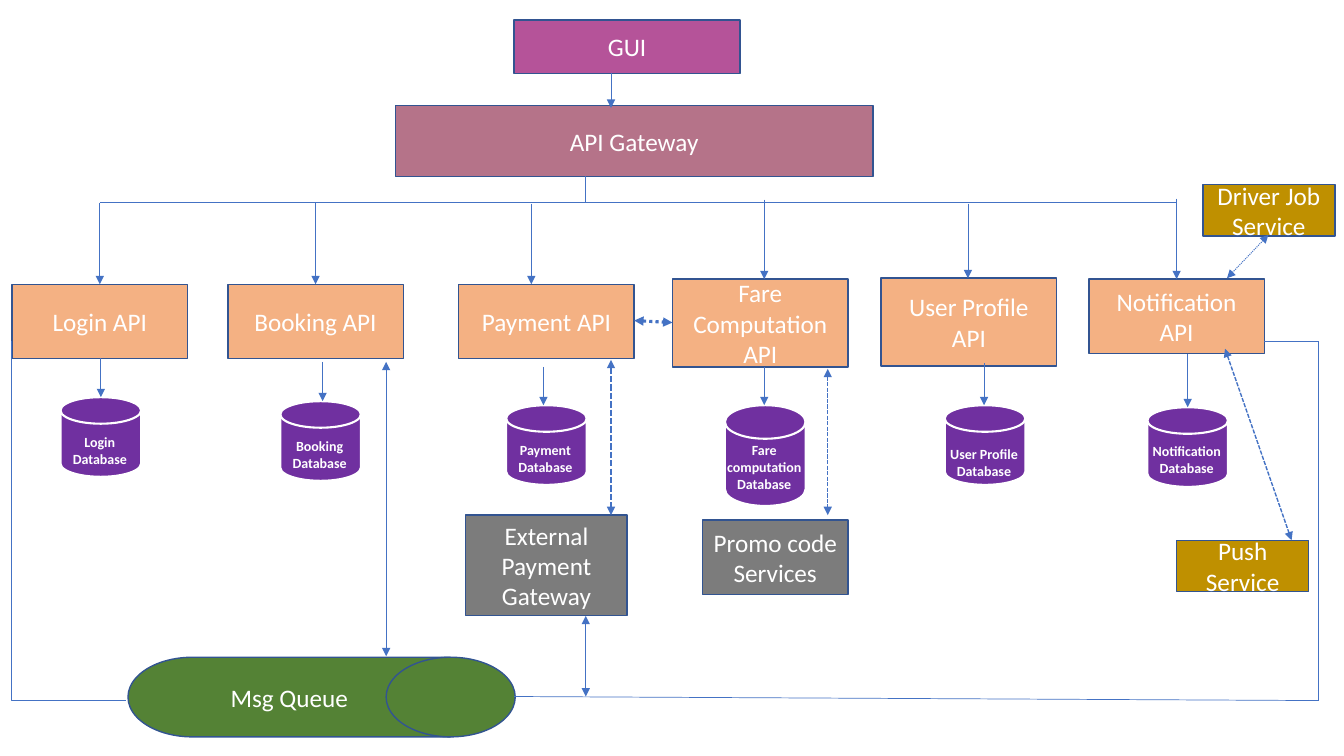
"""Build a one-slide diagram of services behind an API gateway."""
from lxml import etree
from pptx import Presentation
from pptx import util as u
from pptx.dml.color import RGBColor
from pptx.enum import dml, shapes, text
from pptx.oxml.ns import qn

WHITE = RGBColor(0xFF, 0xFF, 0xFF)
MAGENTA = RGBColor(0xB5, 0x53, 0x99)
ROSE = RGBColor(0xB5, 0x73, 0x89)
PEACH = RGBColor(0xF4, 0xB1, 0x83)
GOLD = RGBColor(0xBF, 0x90, 0x00)
GRAY = RGBColor(0x7C, 0x7C, 0x7C)
GREEN = RGBColor(0x54, 0x82, 0x35)
PURPLE = RGBColor(0x70, 0x30, 0xA0)
NAVY = RGBColor(0x32, 0x54, 0x91)
BLUE = RGBColor(0x44, 0x72, 0xC4)

RECT = shapes.MSO_SHAPE.RECTANGLE
DISK = shapes.MSO_SHAPE.FLOWCHART_MAGNETIC_DISK
DRUM = shapes.MSO_SHAPE.FLOWCHART_DIRECT_ACCESS_STORAGE
DASH = dml.MSO_LINE.SQUARE_DOT
DOT = dml.MSO_LINE.ROUND_DOT

API_WIDTH, DISK_WIDTH, LABEL_WIDTH = 1.74, 0.8, 1
BUS_Y, BUS_LEFT, BUS_RIGHT, TRUNK_X = 2.01, 0.99, 11.67, 5.81
QUEUE_Y, RETURN_X = 6.95, 13.08

# fields: API name, (left, top, height), drop (x, y), database label,
# disk (left, top, height), label top, feed (x, y)
SERVICES = [
    ("Login API", (0.12, 2.82, 0.74), (0.99, 2.01),
     "Login Database", (0.6, 3.94, 0.79), 4.25, (1, 3.55)),
    ("Booking API", (2.26, 2.82, 0.74), (3.13, 2.01),
     "Booking Database", (2.78, 3.98, 0.79), 4.29, (3.2, 3.59)),
    ("Payment API", (4.55, 2.82, 0.74), (5.27, 2.02),
     "Payment Database", (5.02, 4.02, 0.79), 4.33, (5.39, 3.64)),
    ("Fare Computation API", (6.67, 2.77, 0.87), (7.58, 1.98),
     "Fare computation Database", (7.19, 4.02, 1), 4.33, (7.58, 3.64)),
    ("User Profile API", (8.74, 2.76, 0.87), (9.6, 2.02),
     "User Profile Database", (9.37, 4.02, 0.79), 4.37, (9.76, 3.6)),
    ("Notification API", (10.8, 2.77, 0.74), (11.67, 1.97),
     "Notification Database", (11.38, 4.04, 0.79), 4.34, (11.78, 3.51)),
]
BOXES = [
    ("GUI", (5.1, 0.2, 2.24, 0.53), MAGENTA, RECT),
    ("API Gateway", (3.92, 1.05, 4.74, 0.7), ROSE, RECT),
    ("Driver Job Service", (11.93, 1.83, 1.31, 0.51), GOLD, RECT),
    ("Push Service", (11.67, 5.36, 1.31, 0.51), GOLD, RECT),
    ("External Payment Gateway", (4.62, 5.11, 1.6, 1), GRAY, RECT),
    ("Promo code Services", (6.97, 5.16, 1.44, 0.74), GRAY, RECT),
    ("Msg Queue", (1.27, 6.52, 3.84, 0.79), GREEN, DRUM),
]
PLAIN_LINES = [
    ((TRUNK_X, 1.75), (TRUNK_X, BUS_Y)),
    ((TRUNK_X, BUS_Y), (BUS_RIGHT, BUS_Y)),
    ((TRUNK_X, BUS_Y), (BUS_LEFT, BUS_Y)),
    ((12.54, 3.39), (RETURN_X, 3.39)),
    ((RETURN_X, 3.39), (RETURN_X, QUEUE_Y)),
    ((5.1, 6.91), (RETURN_X, QUEUE_Y)),
]
TWO_WAY_ARROWS = [
    ((TRUNK_X, 6.11), (TRUNK_X, 6.91), 0.5, None),
    ((3.83, 3.59), (3.83, 6.51), 0.5, None),
    ((8.21, 3.66), (8.21, 5.11), 1, DASH),
    ((6.29, 3.18), (6.67, 3.2), 2.25, DOT),
    ((12.15, 3.46), (12.81, 5.36), 1, DASH),
    ((12.17, 2.76), (12.58, 2.33), 0.75, DOT),
    ((6.06, 3.57), (6.06, 5.11), 1.5, DASH),
]

deck = Presentation()
deck.slide_width, deck.slide_height = u.Inches(13.33), u.Inches(7.5)
page = deck.slides.add_slide(deck.slide_layouts[6])


def write(box, words, size, bold=False):
    frame = box.text_frame
    frame.word_wrap = True
    para = frame.paragraphs[0]
    para.alignment = text.PP_ALIGN.CENTER
    span = para.add_run()
    span.text = words
    span.font.name, span.font.size, span.font.bold = "Calibri", u.Pt(size), bold
    span.font.color.rgb = WHITE


def add_box(place, fill, kind=RECT, outline=NAVY, weight=1):
    box = page.shapes.add_shape(kind, *map(u.Inches, place))
    box.shadow.inherit = False
    box.fill.solid()
    box.fill.fore_color.rgb = fill
    box.line.color.rgb = outline
    box.line.width = u.Pt(weight)
    box.text_frame.vertical_anchor = text.MSO_ANCHOR.MIDDLE
    return box


def add_line(start, end, weight=0.5, dash=None, ends=(),
             kind=shapes.MSO_CONNECTOR.STRAIGHT):
    line = page.shapes.add_connector(kind, *map(u.Inches, start + end))
    line.line.color.rgb = BLUE
    line.line.width = u.Pt(weight)
    if dash:
        line.line.dash_style = dash
    outline = line.line._get_or_add_ln()
    for end_name in ends:
        etree.SubElement(outline, qn("a:" + end_name), type="triangle")
    etree.SubElement(line._element.spPr, qn("a:effectLst"))
    return line


def add_corner(start, end):
    (left, top), (right, bottom) = start, end
    mid_x, mid_y = (left + right) / 2, (top + bottom) / 2
    half_long, half_short = (bottom - top) / 2, (right - left) / 2
    line = add_line((mid_x + half_long, mid_y - half_short),
                    (mid_x - half_long, mid_y + half_short),
                    kind=shapes.MSO_CONNECTOR.ELBOW)
    properties = line._element.spPr
    properties.find(qn("a:prstGeom")).set("prst", "bentConnector2")
    properties.find(qn("a:xfrm")).set("rot", str(270 * 60000))


for words, place, fill, kind in BOXES:
    write(add_box(place, fill, kind), words, 18)

for name, api, drop, label, disk, label_top, feed in SERVICES:
    left, top, height = api
    write(add_box((left, top, API_WIDTH, height), PEACH), name, 18)
    disk_left, disk_top, disk_height = disk
    add_box((disk_left, disk_top, DISK_WIDTH, disk_height), PURPLE, DISK, WHITE, 1.5)
    label_left = disk_left - (LABEL_WIDTH - DISK_WIDTH) / 2 - 0.01
    caption = page.shapes.add_textbox(
        *map(u.Inches, (label_left, label_top, LABEL_WIDTH, 0.44)))
    write(caption, label, 10, bold=True)
    caption.text_frame.auto_size = text.MSO_AUTO_SIZE.SHAPE_TO_FIT_TEXT
    add_line(drop, (drop[0], top), ends=["tailEnd"])
    add_line(feed, (feed[0], disk_top), ends=["tailEnd"])

add_line((6.06, 0.72), (6.06, 1.07), ends=["tailEnd"])
for start, end in PLAIN_LINES:
    add_line(start, end)
for start, end, weight, dash in TWO_WAY_ARROWS:
    add_line(start, end, weight, dash, ["headEnd", "tailEnd"])
add_corner((0.11, 3.38), (1.25, QUEUE_Y))

deck.save("out.pptx")
